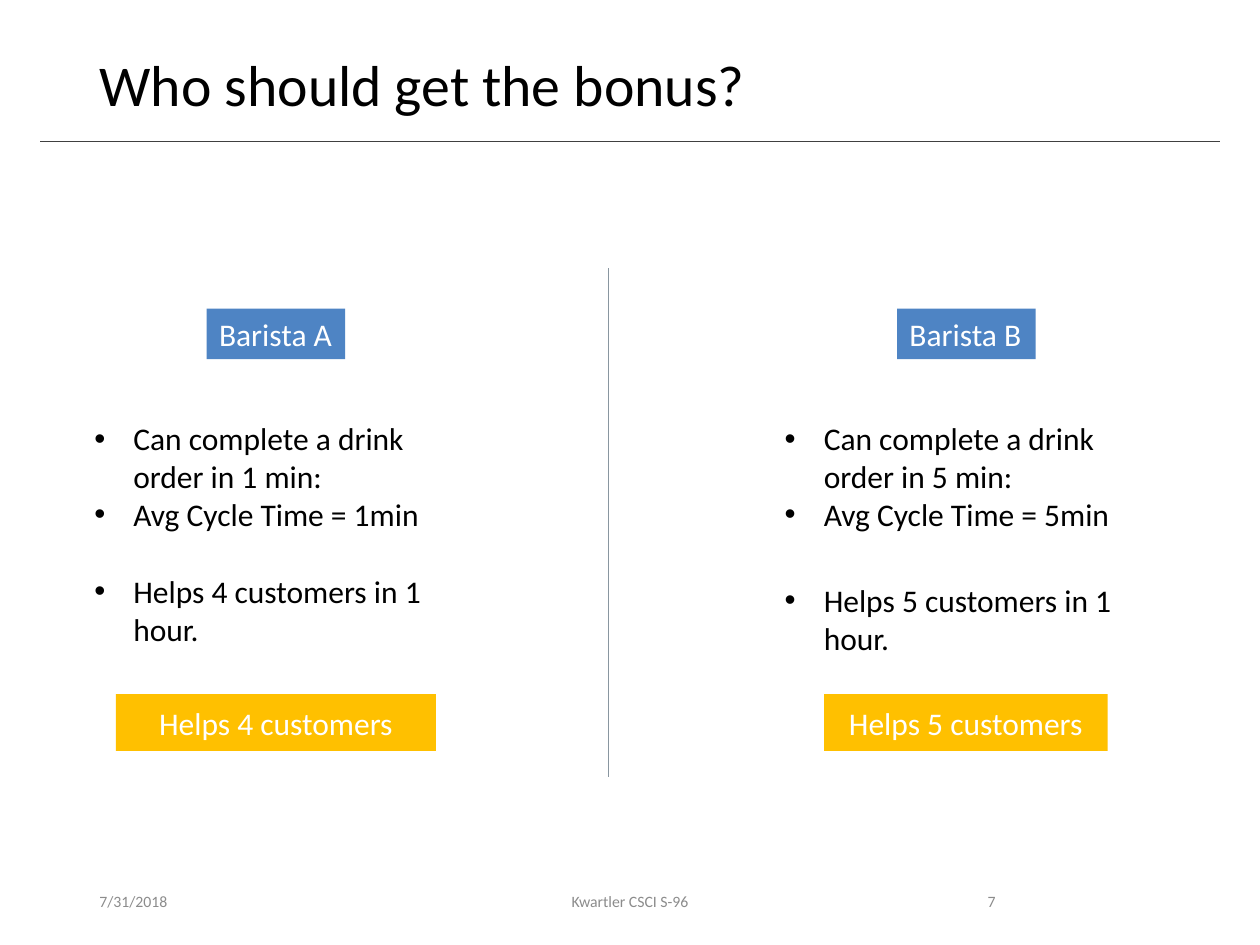
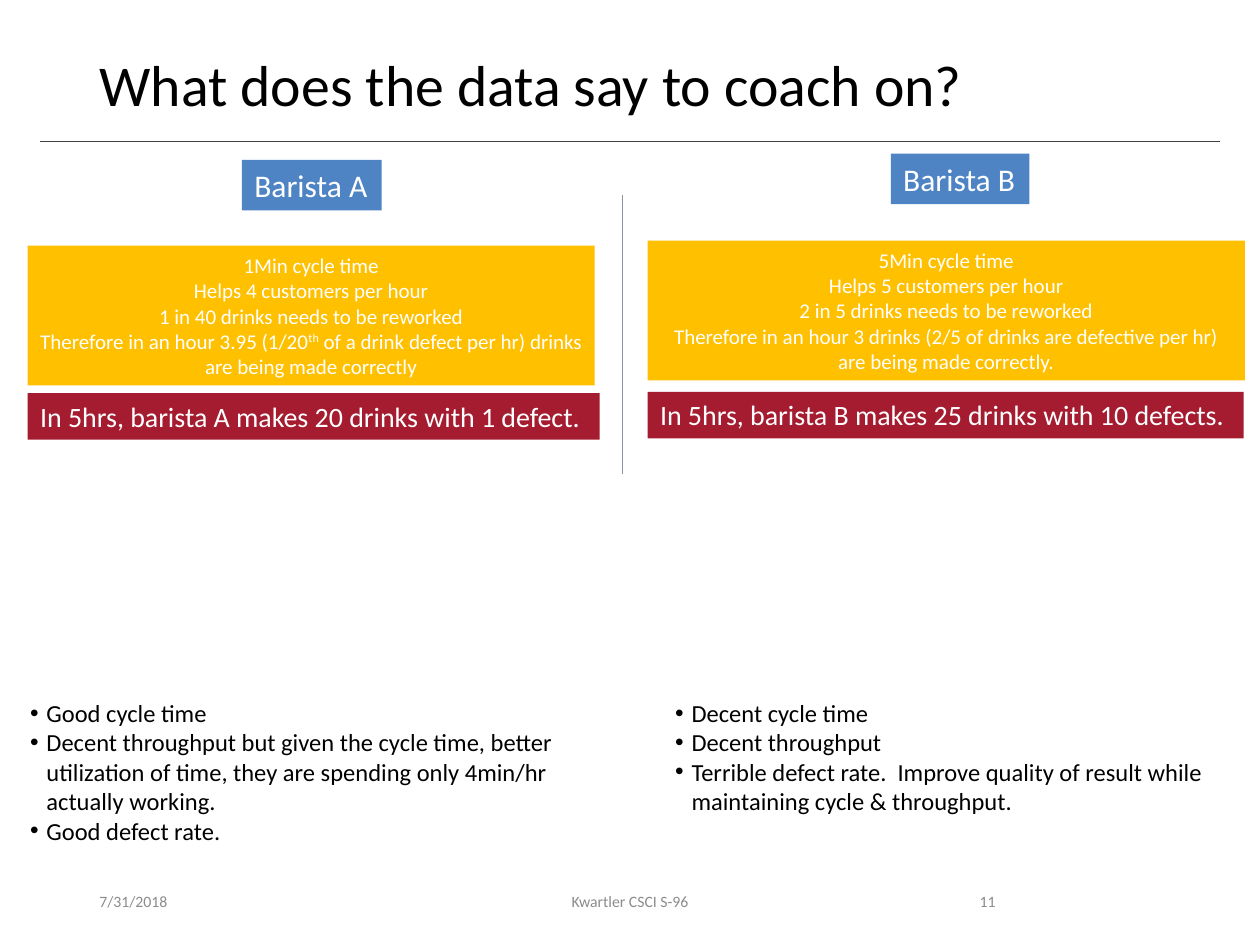
from lxml import etree
from pptx import Presentation
from pptx.dml.color import RGBColor
from pptx.enum.shapes import MSO_CONNECTOR, MSO_SHAPE
from pptx.enum.text import MSO_ANCHOR, MSO_AUTO_SIZE, PP_ALIGN
from pptx.oxml.ns import qn
from pptx.util import Inches, Pt

COLORS = {"black": "000000", "white": "FFFFFF", "footer": "8C8C8C", "rule": "404040",
          "divider": "8996A0", "blue": "4E84C4", "gold": "FFC000", "crimson": "A51C30"}
FONT = "Calibri"
LEFT, CENTER, RIGHT = PP_ALIGN.LEFT, PP_ALIGN.CENTER, PP_ALIGN.RIGHT


def add_text(page, place, lines, size, color="black", fill=None, align=LEFT,
             middle=False, wrap=True, indent=None):
    area = [Inches(value) for value in place]
    if fill:
        box = page.shapes.add_shape(MSO_SHAPE.RECTANGLE, *area)
        box.shadow.inherit = False
        box.fill.solid()
        box.fill.fore_color.rgb = RGBColor.from_string(COLORS[fill])
        box.line.fill.background()
    else:
        box = page.shapes.add_textbox(*area)
    frame = box.text_frame
    frame.word_wrap = wrap
    frame.auto_size = MSO_AUTO_SIZE.NONE if middle else MSO_AUTO_SIZE.SHAPE_TO_FIT_TEXT
    frame.vertical_anchor = MSO_ANCHOR.MIDDLE if middle else MSO_ANCHOR.TOP
    for number, line in enumerate(lines):
        para = frame.add_paragraph() if number else frame.paragraphs[0]
        para.alignment = align
        if indent:
            props = para._p.get_or_add_pPr()
            props.set("marL", str(Inches(indent)))
            props.set("indent", str(-Inches(indent)))
            etree.SubElement(props, qn("a:buFont")).set("typeface", "Arial")
            etree.SubElement(props, qn("a:buChar")).set("char", "•")
        for part, text in enumerate(line.split("^")):
            span = para.add_run()
            span.text = text
            span.font.name = FONT
            span.font.size = Pt(size)
            span.font.color.rgb = RGBColor.from_string(COLORS[color])
            if part % 2:
                span._r.get_or_add_rPr().set("baseline", "30000")


def add_rule(page, x1, y1, x2, y2, color):
    rule = page.shapes.add_connector(MSO_CONNECTOR.STRAIGHT, Inches(x1), Inches(y1),
                                     Inches(x2), Inches(y2))
    rule.line.color.rgb = RGBColor.from_string(COLORS[color])
    rule.line.width = Pt(0.5)
    etree.SubElement(rule._element.spPr, qn("a:effectLst"))


deck = Presentation()
deck.slide_width, deck.slide_height = Inches(10), Inches(7.5)

pages = []
for heading, number in [("Who should get the bonus?", "7"),
                        ("What does the data say to coach on?", "11")]:
    page = deck.slides.add_slide(deck.slide_layouts[5])
    add_rule(page, 0.32, 1.12, 9.68, 1.12, "rule")
    title = page.shapes.title
    title.left, title.top = Inches(0.69), Inches(0.4)
    title.width, title.height = Inches(8.62), Inches(0.65)
    title.text_frame.vertical_anchor = MSO_ANCHOR.TOP
    para = title.text_frame.paragraphs[0]
    para.alignment = LEFT
    para.line_spacing = 0.9
    span = para.add_run()
    span.text = heading
    span.font.name = FONT
    span.font.size = Pt(33)
    span.font.color.rgb = RGBColor.from_string(COLORS["black"])
    for left, width, text, align in [(0.69, 2.25, "7/31/2018", LEFT),
                                     (3.31, 3.38, "Kwartler CSCI S-96", CENTER),
                                     (7.06, 0.94, number, RIGHT)]:
        add_text(page, (left, 6.95, width, 0.4), [text], 9, "footer", align=align, middle=True)
    pages.append(page)
bonus, coaching = pages

add_rule(bonus, 4.83, 2.13, 4.83, 6.17, "divider")
for name, left, minutes, customers, help_top, bar_left, bar_width in [
        ("A", 0.65, 1, 4, 4.49, 0.92, 2.54),
        ("B", 6.13, 5, 5, 4.56, 6.54, 2.25)]:
    add_text(bonus, (left + 0.99, 2.45, 1.1, 0.4), [f"Barista {name}"], 18, "white", "blue",
             wrap=False)
    add_text(bonus, (left, 3.28, 3.07, 1.01),
             [f"Can complete a drink order in {minutes} min:", f"Avg Cycle Time = {minutes}min"],
             18, indent=0.31)
    add_text(bonus, (left, help_top, 3.07, 0.71), [f"Helps {customers} customers in 1 hour."],
             18, indent=0.31)
    add_text(bonus, (bar_left, 5.51, bar_width, 0.45), [f"Helps {customers} customers"],
             18, "white", "gold", CENTER, middle=True)

add_rule(coaching, 4.94, 1.55, 4.94, 3.76, "divider")
for name, badge, facts_area, facts, total_area, total, advice_area, advice in [
        ("A", (1.92, 1.27, 1.11, 0.4), (0.22, 1.95, 4.5, 1.11),
         ["1Min cycle time", "Helps 4 customers per hour",
          "1 in 40 drinks needs to be reworked",
          "Therefore in an hour 3.95 (1/20^th^ of a drink defect per hr) drinks "
          "are being made correctly"],
         (0.22, 3.12, 4.54, 0.37), "20 drinks with 1 defect.",
         (0.14, 5.49, 4.71, 1.28),
         ["Good cycle time",
          "Decent throughput but given the cycle time, better utilization of time, "
          "they are spending only 4min/hr actually working.",
          "Good defect rate."]),
        ("B", (7.07, 1.22, 1.1, 0.4), (5.14, 1.91, 4.74, 1.11),
         ["5Min cycle time", "Helps 5 customers per hour",
          "2 in 5 drinks needs to be reworked",
          "Therefore in an hour 3 drinks (2/5 of drinks are defective per hr) "
          "are being made correctly."],
         (5.14, 3.11, 4.73, 0.37), "25 drinks with 10 defects.",
         (5.26, 5.49, 4.71, 1.04),
         ["Decent cycle time", "Decent throughput",
          "Terrible defect rate.  Improve quality of result while "
          "maintaining cycle & throughput."])]:
    add_text(coaching, badge, [f"Barista {name}"], 18, "white", "blue", wrap=False)
    add_text(coaching, facts_area, facts, 12, "white", "gold", CENTER, middle=True)
    add_text(coaching, total_area, [f"In 5hrs, barista {name} makes {total}"], 16, "white",
             "crimson", wrap=False)
    add_text(coaching, advice_area, advice, 14, indent=0.13)

deck.save("out.pptx")
